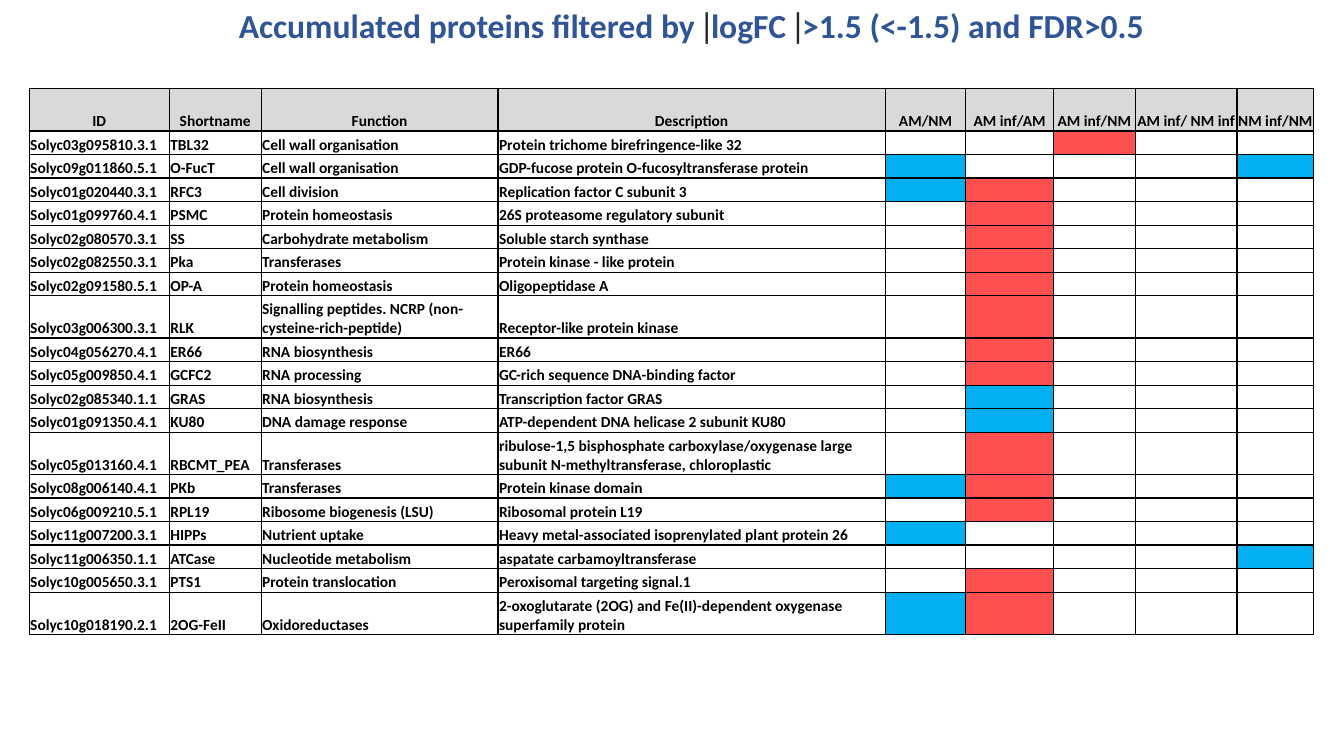
from dataclasses import dataclass

from lxml import etree
from pptx import Presentation
from pptx import util as u
from pptx.dml.color import RGBColor
from pptx.enum import text
from pptx.oxml.ns import qn


@dataclass(frozen=True)
class Theme:
    title: str = "2F5597"
    bar: str = "202124"
    ink: str = "000000"
    header: str = "D9D9D9"
    plain: str = "FFFFFF"
    red: str = "FF5050"
    blue: str = "00B0F0"
    font: str = "Calibri"
    bar_font: str = "Lato"
    title_size: int = 24
    table_size: int = 11
    border: int = 1


theme = Theme()


def write(paragraph, words, size=theme.table_size, color=theme.ink, font=theme.font, bold=True):
    run = paragraph.add_run()
    run.text = words
    run.font.size = u.Pt(size)
    run.font.color.rgb = RGBColor.from_string(color)
    run.font.name = font
    run.font.bold = bold


def add_borders(cell):
    properties = cell._tc.get_or_add_tcPr()
    for side in ("lnL", "lnR", "lnT", "lnB"):
        line = etree.SubElement(properties, qn(f"a:{side}"), w=str(u.Pt(theme.border)))
        fill = etree.SubElement(line, qn("a:solidFill"))
        etree.SubElement(fill, qn("a:srgbClr"), val=theme.ink)


presentation = Presentation()
presentation.slide_width = u.Inches(13.33)
presentation.slide_height = u.Inches(7.5)
slide = presentation.slides.add_slide(presentation.slide_layouts[6])

headers = ["ID", "Shortname", "Function", "Description",
           "AM/NM", "AM inf/AM", "AM inf/NM", "AM inf/ NM inf", "NM inf/NM"]
column_widths = [1.39, 0.91, 2.35, 3.84, 0.8, 0.87, 0.81, 1.01, 0.76]

# The last field marks the five comparisons: R red, B blue, - unfilled
proteins = [
    ("Solyc03g095810.3.1", "TBL32", "Cell wall organisation",
     "Protein trichome birefringence-like 32", "--R--"),
    ("Solyc09g011860.5.1", "O-FucT", "Cell wall organisation",
     "GDP-fucose protein O-fucosyltransferase protein", "B---B"),
    ("Solyc01g020440.3.1", "RFC3", "Cell division",
     "Replication factor C subunit 3", "BR---"),
    ("Solyc01g099760.4.1", "PSMC", "Protein homeostasis",
     "26S proteasome regulatory subunit", "-R---"),
    ("Solyc02g080570.3.1", "SS", "Carbohydrate metabolism",
     "Soluble starch synthase", "-R---"),
    ("Solyc02g082550.3.1", "Pka", "Transferases",
     "Protein kinase - like protein", "-R---"),
    ("Solyc02g091580.5.1", "OP-A", "Protein homeostasis",
     "Oligopeptidase A", "-R---"),
    ("Solyc03g006300.3.1", "RLK", "Signalling peptides. NCRP (non-cysteine-rich-peptide)",
     "Receptor-like protein kinase", "-R---"),
    ("Solyc04g056270.4.1", "ER66", "RNA biosynthesis",
     "ER66", "-R---"),
    ("Solyc05g009850.4.1", "GCFC2", "RNA processing",
     "GC-rich sequence DNA-binding factor", "-R---"),
    ("Solyc02g085340.1.1", "GRAS", "RNA biosynthesis",
     "Transcription factor GRAS", "-B---"),
    ("Solyc01g091350.4.1", "KU80", "DNA damage response",
     "ATP-dependent DNA helicase 2 subunit KU80", "-B---"),
    ("Solyc05g013160.4.1", "RBCMT_PEA", "Transferases",
     "ribulose-1,5 bisphosphate carboxylase/oxygenase large subunit "
     "N-methyltransferase, chloroplastic", "-R---"),
    ("Solyc08g006140.4.1", "PKb", "Transferases",
     "Protein kinase domain", "BR---"),
    ("Solyc06g009210.5.1", "RPL19", "Ribosome biogenesis (LSU)",
     "Ribosomal protein L19", "-R---"),
    ("Solyc11g007200.3.1", "HIPPs", "Nutrient uptake",
     "Heavy metal-associated isoprenylated plant protein 26", "B----"),
    ("Solyc11g006350.1.1", "ATCase", "Nucleotide metabolism",
     "aspatate carbamoyltransferase", "----B"),
    ("Solyc10g005650.3.1", "PTS1", "Protein translocation",
     "Peroxisomal targeting signal.1", "-R---"),
    ("Solyc10g018190.2.1", "2OG-FeII", "Oxidoreductases",
     "2-oxoglutarate (2OG) and Fe(II)-dependent oxygenase superfamily protein", "BR---"),
]
mark_fills = {"R": theme.red, "B": theme.blue, "-": theme.plain}

table_height = 5.42
tall_rows = {0, 8, 13, 19}
tall_height = 0.42
row_count = len(proteins) + 1
low_height = (table_height - tall_height * len(tall_rows)) / (row_count - len(tall_rows))

protein_table = slide.shapes.add_table(
    row_count, len(headers), u.Inches(0.29), u.Inches(0.88),
    u.Inches(sum(column_widths)), u.Inches(table_height)).table
protein_table.first_row = False
protein_table.horz_banding = False
for column, width in zip(protein_table.columns, column_widths):
    column.width = u.Inches(width)

rows = [(headers, [theme.header] * len(headers))]
for *labels, marks in proteins:
    rows.append((labels + [""] * len(marks),
                 [theme.plain] * len(labels) + [mark_fills[mark] for mark in marks]))

for row_index, (labels, fills) in enumerate(rows):
    row = protein_table.rows[row_index]
    row.height = u.Inches(tall_height if row_index in tall_rows else low_height)
    for cell, label, fill in zip(row.cells, labels, fills):
        cell.margin_left = cell.margin_right = cell.margin_top = u.Inches(0.01)
        cell.margin_bottom = 0
        cell.vertical_anchor = text.MSO_ANCHOR.BOTTOM
        add_borders(cell)
        cell.fill.solid()
        cell.fill.fore_color.rgb = RGBColor.from_string(fill)
        paragraph = cell.text_frame.paragraphs[0]
        if row_index == 0:
            paragraph.alignment = text.PP_ALIGN.CENTER
        if label:
            write(paragraph, label)
        else:
            etree.SubElement(paragraph._p, qn("a:endParaRPr"), sz=str(theme.table_size * 100))

title = slide.shapes.add_textbox(u.Inches(2.27), 0, u.Inches(11.06), u.Inches(0.5)).text_frame
title.word_wrap = True
title.auto_size = text.MSO_AUTO_SIZE.SHAPE_TO_FIT_TEXT
for part in ("Accumulated proteins filtered by ", "|", "logFC ", "|", ">1.5 (<-1.5) and FDR>0.5"):
    if part == "|":
        write(title.paragraphs[0], part, size=theme.title_size, color=theme.bar,
              font=theme.bar_font, bold=False)
    else:
        write(title.paragraphs[0], part, size=theme.title_size, color=theme.title)

presentation.save("out.pptx")
